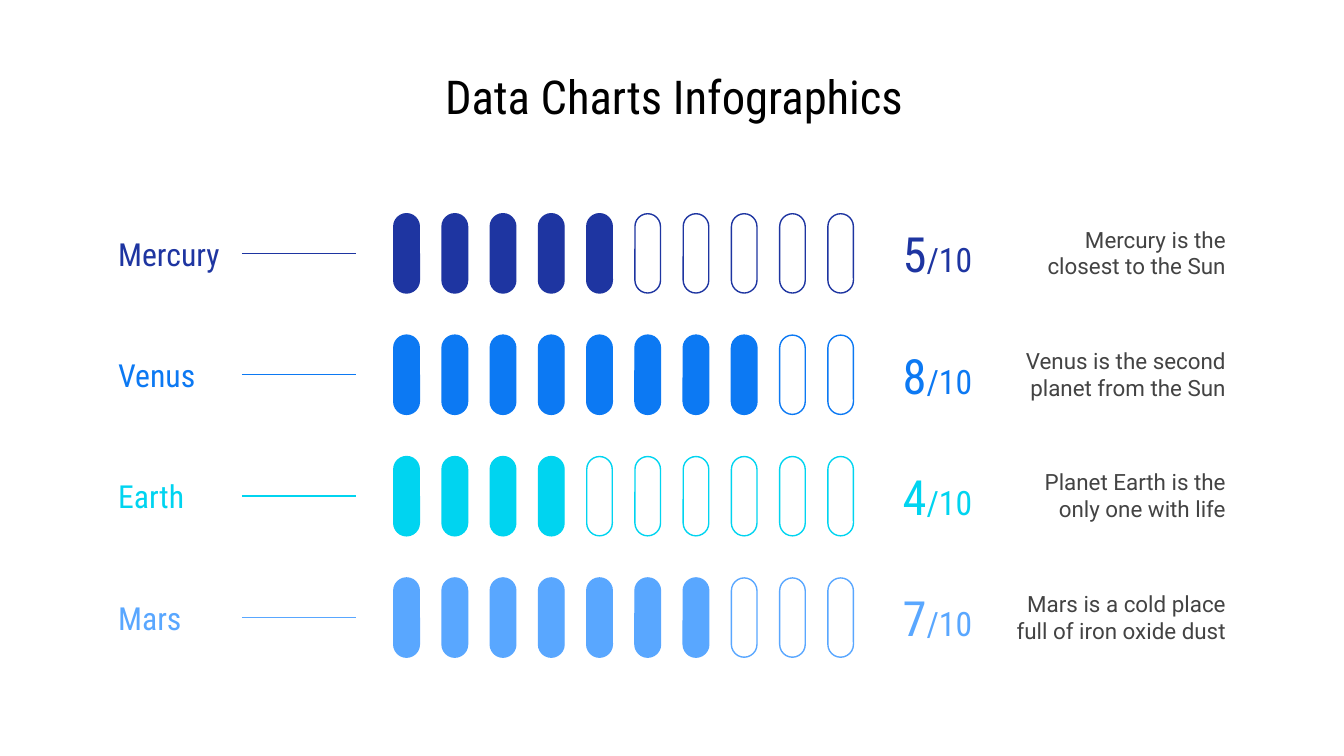
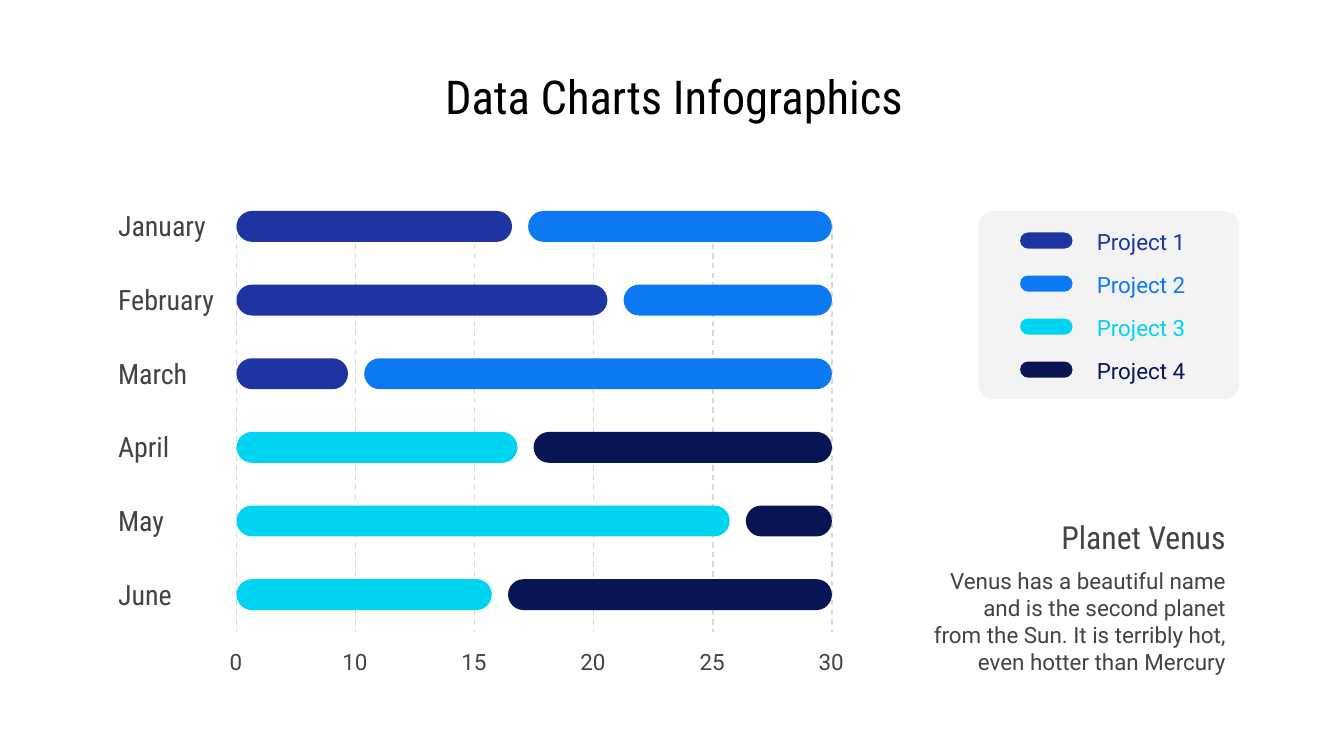
"""Builds two data chart infographic slides: planet ratings and project timelines."""
from lxml import etree
from pptx import Presentation
from pptx import util as u
from pptx.dml.color import RGBColor
from pptx.enum import dml, shapes, text
from pptx.oxml.ns import qn

NAVY, BLUE, CYAN, SKY, DARK = "1E35A1", "0C79F3", "00D4F0", "59A7FF", "071554"
GREY, GRID, PANEL, WHITE, BLACK = "434343", "D9D9D9", "F3F3F3", "FFFFFF", "000000"
HEADING, BODY = "Roboto Condensed", "Roboto"
LEFT, CENTER, RIGHT = text.PP_ALIGN.LEFT, text.PP_ALIGN.CENTER, text.PP_ALIGN.RIGHT
color = RGBColor.from_string


def write(box, spans, font, ink, align=LEFT):
    """Fill a text shape with one paragraph of (wording, size) spans."""
    frame = box.text_frame
    frame.word_wrap = True
    frame.auto_size = text.MSO_AUTO_SIZE.NONE
    frame.vertical_anchor = text.MSO_ANCHOR.MIDDLE
    frame.margin_left = frame.margin_right = u.Inches(0.1)
    frame.margin_top = frame.margin_bottom = u.Inches(0.1)
    para = frame.paragraphs[0]
    para.alignment = align
    for wording, size in spans:
        span = para.add_run()
        span.text = wording
        span.font.name = font
        span.font.size = u.Pt(size)
        span.font.color.rgb = color(ink)


def add_pill(page, area, fill, line=None, radius=0.5):
    """Add a rounded rectangle at (left, top, width, height) in inches."""
    pill = page.shapes.add_shape(shapes.MSO_SHAPE.ROUNDED_RECTANGLE, *map(u.Inches, area))
    pill.adjustments[0] = radius
    pill.shadow.inherit = False
    pill.fill.solid()
    pill.fill.fore_color.rgb = color(fill)
    if line:
        pill.line.color.rgb = color(line)
        pill.line.width = u.Pt(0.75)
    else:
        pill.line.fill.background()


deck = Presentation()
deck.slide_width = u.Inches(10)
deck.slide_height = deck.slide_width * 9 // 16

for _ in range(2):
    page = deck.slides.add_slide(deck.slide_layouts[5])
    title = page.shapes.title
    title.left, title.top = u.Inches(0.53), u.Inches(0.45)
    title.width, title.height = u.Inches(8.97), u.Inches(0.53)
    write(title, [("Data Charts Infographics", 25)], HEADING, BLACK, CENTER)
ratings, timeline = deck.slides

planets = [
    ("Mercury", 5, NAVY, "Mercury is the closest to the Sun"),
    ("Venus", 8, BLUE, "Venus is the second planet from the Sun"),
    ("Earth", 4, CYAN, "Planet Earth is the only one with life"),
    ("Mars", 7, SKY, "Mars is a cold place full of iron oxide dust"),
]
planet_pitch = (4.3 - 1.59) / (len(planets) - 1)
pill_pitch = (6.16 - 2.93) / 9
for row, (planet, score, ink, fact) in enumerate(planets):
    top = 1.59 + planet_pitch * row
    label = ratings.shapes.add_textbox(*map(u.Inches, (0.78, top + 0.05, 1.02, 0.49)))
    write(label, [(planet, 17)], HEADING, ink)
    for step in range(10):
        add_pill(ratings, (2.93 + pill_pitch * step, top, 0.19, 0.59),
                 ink if step < score else WHITE, ink)
    box = ratings.shapes.add_textbox(*map(u.Inches, (6.61, top + 0.06, 0.73, 0.47)))
    write(box, [(str(score), 26), ("/10", 18)], HEADING, ink, CENTER)
    box = ratings.shapes.add_textbox(*map(u.Inches, (7.41, top - 0.01, 1.81, 0.6)))
    write(box, [(fact, 12)], BODY, GREY, RIGHT)
    middle = label.top + label.height // 2
    rule = ratings.shapes.add_connector(
        shapes.MSO_CONNECTOR.STRAIGHT, label.left + label.width, middle, u.Inches(2.65), middle)
    rule.begin_connect(label, 3)
    rule.line.color.rgb = color(ink)

axis_left, axis_right = 1.76, 6.19
ticks = ["0", "10", "15", "20", "25", "30"]
for index, tick in enumerate(ticks):
    x = axis_left + (axis_right - axis_left) * index / (len(ticks) - 1)
    gridline = timeline.shapes.add_connector(
        shapes.MSO_CONNECTOR.STRAIGHT, *map(u.Inches, (x, 1.67, x, 4.7)))
    gridline.line.color.rgb = color(GRID)
    gridline.line.dash_style = dml.MSO_LINE.DASH
    box = timeline.shapes.add_textbox(*map(u.Inches, (x - 0.39, 4.79, 0.77, 0.26)))
    write(box, [(tick, 12)], BODY, GREY, CENTER)

months = [
    ("January", 2.05, NAVY, BLUE),
    ("February", 2.76, NAVY, BLUE),
    ("March", 0.83, NAVY, BLUE),
    ("April", 2.09, CYAN, DARK),
    ("May", 3.67, CYAN, DARK),
    ("June", 1.9, CYAN, DARK),
]
month_pitch = (4.31 - 1.57) / (len(months) - 1)
for row, (month, width, first, second) in enumerate(months):
    top = 1.57 + month_pitch * row
    start = axis_left + width + 0.12
    add_pill(timeline, (axis_left, top, width, 0.23), first)
    add_pill(timeline, (start, top, axis_right - start, 0.23), second)
    box = timeline.shapes.add_textbox(*map(u.Inches, (0.78, top, 0.98, 0.22)))
    write(box, [(month, 15)], HEADING, GREY)

add_pill(timeline, (7.28, 1.57, 1.94, 1.4), PANEL, radius=0.08)
for row, ink in enumerate([NAVY, BLUE, CYAN, DARK]):
    top = 1.68 + 0.32 * row
    box = timeline.shapes.add_textbox(*map(u.Inches, (7.86, top, 1.06, 0.23)))
    write(box, [(f"Project {row + 1}", 12)], BODY, ink, RIGHT)
    add_pill(timeline, (7.59, top + 0.05, 0.39, 0.12), ink)

box = timeline.shapes.add_textbox(*map(u.Inches, (6.83, 3.85, 2.39, 0.29)))
write(box, [("Planet Venus", 17)], HEADING, GREY, RIGHT)
box = timeline.shapes.add_textbox(*map(u.Inches, (6.83, 4.13, 2.39, 0.98)))
write(box, [("Venus has a beautiful name and is the second planet from the Sun. "
             "It is terribly hot, even hotter than Mercury", 12)], BODY, GREY, RIGHT)

for page in deck.slides:
    for shape in page.shapes:
        if shape.shape_type == shapes.MSO_SHAPE_TYPE.LINE:
            shape.line.width = u.Pt(0.75)
            etree.SubElement(shape._element.spPr, qn("a:effectLst"))

deck.save("out.pptx")
